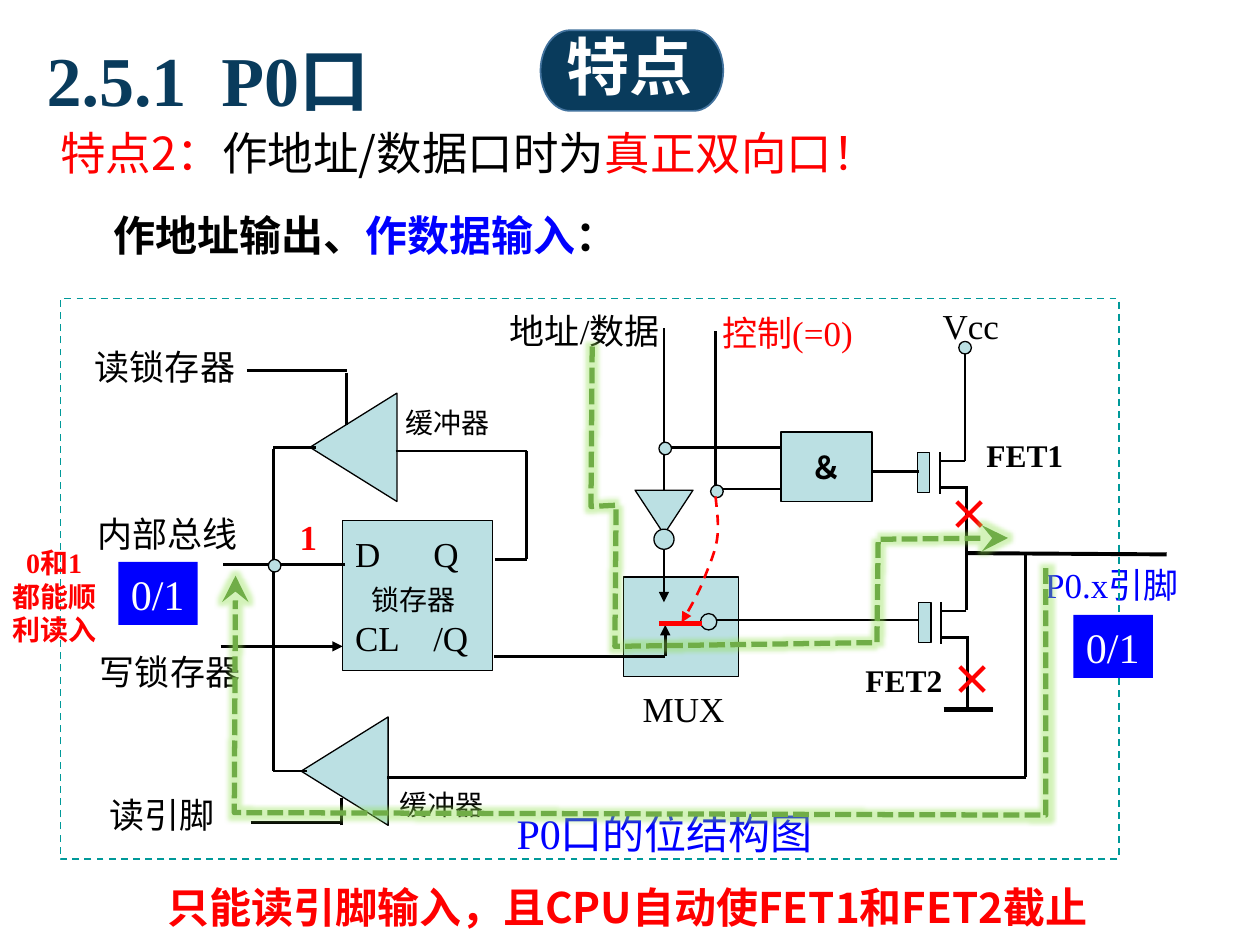
from dataclasses import dataclass
from typing import Any

import pptx
import pptx.dml.color
import pptx.enum.dml
import pptx.enum.shapes
import pptx.enum.text
import pptx.oxml.ns
import pptx.util
from lxml import etree

Inches = pptx.util.Inches
SHAPE = pptx.enum.shapes.MSO_SHAPE
DASH = pptx.enum.dml.MSO_LINE
ALIGN = pptx.enum.text.PP_ALIGN
ANCHOR = pptx.enum.text.MSO_ANCHOR
SERIF, SANS = "Times New Roman", "Noto Sans CJK SC"
COLORS = {"black": "000000", "white": "FFFFFF", "red": "FF0000", "blue": "0000FF",
          "part": "BBE0E3", "frame": "009999", "navy": "093B5C", "edge": "43739E",
          "flow": "70AD47", "glow": "92E050"}


def color(name):
    return pptx.dml.color.RGBColor.from_string(COLORS[name])


def add_element(parent, tag, **attributes):
    return etree.SubElement(parent, pptx.oxml.ns.qn(tag), attributes)


def style_line(line, tint, width, dash=None, head=None, size="med"):
    line.color.rgb = color(tint)
    line.width = pptx.util.Pt(width)
    if dash:
        line.dash_style = dash
    if head:
        add_element(line._get_or_add_ln(), "a:tailEnd", type=head, w=size, len=size)


def write(box, lines, size, tint="black", font=SERIF, bold=False, align=ALIGN.LEFT,
          anchor=ANCHOR.TOP, wrap=False, tab=None, indents=None):
    frame = box.text_frame
    frame.word_wrap = wrap
    frame.auto_size = pptx.enum.text.MSO_AUTO_SIZE.NONE
    frame.vertical_anchor = anchor
    for index, line in enumerate([lines] if isinstance(lines, str) else lines):
        para = frame.paragraphs[0] if index == 0 else frame.add_paragraph()
        para.alignment = align
        properties = para._p.get_or_add_pPr()
        if indents and indents[index]:
            properties.set("marL", str(Inches(indents[index])))
            properties.set("indent", "0")
        if tab:
            stops = add_element(properties, "a:tabLst")
            add_element(stops, "a:tab", pos=str(Inches(tab)), algn="l")
        para.font.size = pptx.util.Pt(size)
        para.font.bold = bold
        para.font.name = font
        if isinstance(line, str):
            para.font.color.rgb = color(tint)
            para.add_run().text = line
        else:
            for text, span_tint in line:
                span = para.add_run()
                span.text = text
                span.font.color.rgb = color(span_tint)


@dataclass
class Region:
    page: Any
    left: float
    top: float
    width: float = 0
    height: float = 0

    def point(self, x, y):
        return Inches(self.left + x), Inches(self.top + y)

    def place(self, x, y, w, h):
        return *self.point(x, y), Inches(w), Inches(h)

    def shape(self, kind, x, y, w, h, fill="part", line="black", width=0.75, dash=None, turn=0):
        shape = self.page.shapes.add_shape(kind, *self.place(x, y, w, h))
        shape.shadow.inherit = False
        shape.rotation = turn
        if fill:
            shape.fill.solid()
            shape.fill.fore_color.rgb = color(fill)
        else:
            shape.fill.background()
        if line:
            style_line(shape.line, line, width, dash)
        else:
            shape.line.fill.background()
        return shape

    def dot(self, x, y, size=0.1):
        self.shape(SHAPE.OVAL, x, y, size, size)

    def wire(self, x1, y1, x2, y2, tint="black", width=1.5, head=None):
        wire = self.page.shapes.add_connector(
            pptx.enum.shapes.MSO_CONNECTOR.STRAIGHT, *self.point(x1, y1), *self.point(x2, y2))
        style_line(wire.line, tint, width, head=head)
        add_element(wire._element.spPr, "a:effectLst")

    def text(self, x, y, w, h, lines, size=20, **options):
        write(self.page.shapes.add_textbox(*self.place(x, y, w, h)), lines, size, **options)

    def label(self, x, y, w, h, line, tint="black"):
        self.text(x, y, w, h, line, tint=tint, align=ALIGN.CENTER, anchor=ANCHOR.MIDDLE)

    def outline(self, points, *line_style):
        start, *rest = [self.point(x, y) for x, y in points]
        builder = self.page.shapes.build_freeform(*start)
        builder.add_line_segments(rest, close=False)
        shape = builder.convert_to_shape()
        shape.fill.background()
        shape.shadow.inherit = False
        style_line(shape.line, *line_style)
        return shape._element.spPr

    def curve(self, points):
        properties = self.outline(points, "red", 1.5, DASH.DASH, "triangle")
        segments = list(properties.iter(pptx.oxml.ns.qn("a:lnTo")))
        for start in range(0, len(segments), 3):
            bend = etree.Element(pptx.oxml.ns.qn("a:cubicBezTo"))
            segments[start].addprevious(bend)
            for segment in segments[start:start + 3]:
                bend.append(segment[0])
                segment.getparent().remove(segment)

    def flow(self, points):
        properties = self.outline(points, "flow", 3, DASH.SQUARE_DOT, "stealth", "lg")
        effects = properties.find(pptx.oxml.ns.qn("a:effectLst"))
        glow = add_element(effects, "a:glow", rad=str(Inches(0.07)))
        tint = add_element(glow, "a:srgbClr", val=COLORS["glow"])
        add_element(tint, "a:alpha", val="40000")

    def value_tag(self, x, y):
        write(self.shape(SHAPE.RECTANGLE, x, y, 0.63, 0.5, "blue", None), "0/1", 24, "white")


def draw_heading(region):
    title = region.page.shapes.title
    title.left, title.top, title.width, title.height = region.place(0, 0, 2.97, 0.94)
    write(title, "2.5.1  P0口", 40, "navy", bold=True, wrap=True)
    title.text_frame.paragraphs[0].line_spacing = 1.25
    region.shape(SHAPE.FLOWCHART_TERMINATOR, 4.02, 0.17, 1.45, 0.64, "navy", "edge", 1)
    region.text(4.13, 0.1, 1.22, 0.71, "特点", 36, tint="white", bold=True)
    region.text(0.11, 0.87, 7.33, 0.54, [[("特点2：", "red"), ("作地址/数据口时为", "black"),
                                          ("真正双向口！", "red")]], 26, font=SANS, wrap=True)
    region.text(0.53, 1.54, 4.24, 0.5, [[("作地址输出、", "black"), ("作数据输入", "blue"),
                                         ("：", "black")]], 24, font=SANS, bold=True)


def draw_buffer(region, bus, label_x, label_y):
    w, h = region.width, region.height
    region.shape(SHAPE.ISOSCELES_TRIANGLE, (w - h) / 2, (h - w) / 2, h, w, turn=270)
    region.wire(0.05, h / 2, bus - region.left, h / 2)
    region.text(label_x, label_y, 0.88, 0.37, "缓冲器", 16)


def draw_latch(region):
    body = region.shape(SHAPE.RECTANGLE, 0, 0, region.width, region.height)
    write(body, ["D\tQ", "锁存器", "CL\t/Q"], 20, anchor=ANCHOR.MIDDLE, wrap=True,
          tab=0.62, indents=[0, 0.13, 0])
    name = body.text_frame.paragraphs[1]
    name.font.size = pptx.util.Pt(16)
    name.space_before = pptx.util.Pt(4.5)
    for ends in [(1.21, 0.31, 1.46, 0.31), (0.42, -0.55, 1.46, -0.55),
                 (1.46, -0.55, 1.46, 0.31), (0.02, 0.35, -0.95, 0.35),
                 (-0.55, -0.57, -0.55, 1.99)]:
        region.wire(*ends)
    region.wire(-0.97, 1, 0, 1, head="triangle")
    region.dot(-0.59, 0.31)
    region.text(-0.44, -0.09, 0.34, 0.44, "1", tint="red", bold=True)


def draw_mux(region):
    region.shape(SHAPE.RECTANGLE, 0, 0, region.width, region.height)
    region.shape(SHAPE.ISOSCELES_TRIANGLE, 0.09, -0.69, 0.46, 0.35, turn=180)
    region.dot(0.24, -0.38, 0.16)
    for ends in [(0.32, -0.69, 0.32, -1.98), (0.73, -1.95, 0.73, -0.69),
                 (0.31, -1.03, 1.25, -1.03), (0.72, -0.7, 1.25, -0.7),
                 (0.73, 0.34, 2.36, 0.34), (-1.03, 0.63, 0.33, 0.63)]:
        region.wire(*ends)
    region.wire(0.33, 0.63, 0.33, 0.38, head="triangle")
    region.wire(0.32, -0.22, 0.32, 0.2, head="triangle")
    region.dot(0.61, 0.29, 0.13)
    region.dot(0.28, -1.07)
    region.dot(0.69, -0.73)
    region.wire(0.28, 0.37, 0.62, 0.37, "red", 3)
    region.label(-0.08, 0.89, 1.11, 0.3, "MUX")
    region.label(-1.1, -2.31, 1.58, 0.7, "地址/数据")
    region.label(0.68, -2.12, 1.24, 0.36, "控制(=0)", "red")
    region.curve([(0.73, -0.64), (0.74, -0.52), (0.76, -0.41), (0.74, -0.29), (0.72, -0.17),
                  (0.66, -0.05), (0.62, 0.06), (0.57, 0.17), (0.49, 0.31), (0.46, 0.36)])


def draw_transistor(region):
    region.shape(SHAPE.RECTANGLE, 0, 0, region.width, region.height)
    region.wire(0.18, 0, 0.18, 0.33)
    region.wire(0.38, 0.07, 0.18, 0.07)
    region.wire(0.19, 0.28, 0.4, 0.28)


def draw_driver(region):
    gate = region.shape(SHAPE.RECTANGLE, 0, 0, region.width, region.height, width=1)
    write(gate, "＆", 18, font=SANS, bold=True, align=ALIGN.CENTER, anchor=ANCHOR.MIDDLE, wrap=True)
    for x, y in [(1.08, 0.16), (1.09, 1.35)]:
        draw_transistor(Region(region.page, region.left + x, region.top + y, 0.1, 0.32))
    for ends in [(0.72, 0.31, 1.09, 0.31), (1.46, -0.63, 1.46, 0.23), (1.47, 0.45, 1.47, 1.41),
                 (1.48, 1.63, 1.48, 2.2), (1.94, 0.96, 1.94, 2.74), (1.94, 2.74, -3.13, 2.74)]:
        region.wire(*ends)
    region.wire(1.46, 0.96, 3.06, 0.97, width=2.25)
    region.wire(1.29, 2.2, 1.68, 2.2, width=3)
    region.dot(1.41, -0.72)
    region.label(1.04, -1.03, 0.93, 0.37, "Vcc")
    region.label(1.75, 0.82, 1.75, 0.78, "P0.x引脚", "blue")
    for x, y, name in [(1.53, -0.02, "FET1"), (0.57, 1.77, "FET2")]:
        region.text(x, y, 0.86, 0.4, name, 18, bold=True, wrap=True)
    for x, y in [(1.23, 0.4), (1.25, 1.71)]:
        region.text(x, y, 0.38, 0.5, "×", 24, tint="red", font=SANS, bold=True, wrap=True)


def draw_surround(region):
    region.shape(SHAPE.RECTANGLE, 0, 0, region.width, region.height, None, "frame", 1, DASH.DASH)
    for x, y, w, h, name in [(0.27, 0.23, 1.12, 0.62, "读锁存器"), (0.36, 3.88, 0.89, 0.43, "读引脚"),
                             (0.26, 1.6, 1.18, 0.53, "内部总线"), (0.26, 2.7, 1.22, 0.52, "写锁存器")]:
        region.label(x, y, w, h, name)
    for ends in [(1.48, 0.57, 2.27, 0.57), (2.27, 0.59, 2.27, 1),
                 (1.51, 4.16, 2.23, 4.16), (2.23, 4.18, 2.23, 3.96)]:
        region.wire(*ends)
    region.text(3.47, 3.99, 2.65, 0.5, "P0口的位结构图", 24, tint="blue", align=ALIGN.CENTER)


def draw_flows(region):
    region.flow([(4.22, 0.38), (4.21, 1.65), (4.41, 1.64), (4.4, 2.76),
                 (6.48, 2.73), (6.49, 1.91), (7.52, 1.9)])
    region.flow([(7.82, 2.14), (7.82, 4.1), (1.38, 4.08), (1.39, 2.2)])
    region.value_tag(8.04, 2.51)
    region.value_tag(0.46, 2.09)
    region.text(-0.51, 1.91, 0.92, 0.91, ["0和1", "都能顺", "利读入"], 16, tint="red",
                bold=True, align=ALIGN.CENTER, wrap=True)


def draw_conclusion(region):
    bar = region.shape(SHAPE.RECTANGLE, 0, 0, region.width, region.height, "white", None)
    write(bar, "只能读引脚输入，且CPU自动使FET1和FET2截止", 24, "red", SANS, True,
          ALIGN.JUSTIFY, wrap=True, indents=[0.44])


def main():
    deck = pptx.Presentation()
    deck.slide_width, deck.slide_height = Inches(10), Inches(7.5)
    page = deck.slides.add_slide(deck.slide_layouts[5])
    diagram = Region(page, 0.48, 2.37, 8.4, 4.45)
    draw_heading(Region(page, 0.27, 0.07))
    draw_buffer(Region(page, 2.46, 3.12, 0.69, 0.86), 2.17, 0.66, 0.05)
    draw_buffer(Region(page, 2.39, 5.69, 0.69, 0.86), 2.17, 0.68, 0.51)
    draw_latch(Region(page, 2.72, 4.13, 1.19, 1.19))
    draw_mux(Region(page, 4.95, 4.58, 0.91, 0.79))
    draw_driver(Region(page, 6.2, 3.43, 0.72, 0.55))
    draw_surround(diagram)
    draw_flows(diagram)
    draw_conclusion(Region(page, 0.79, 6.95, 8.97, 0.5))
    deck.save("out.pptx")


if __name__ == "__main__":
    main()
